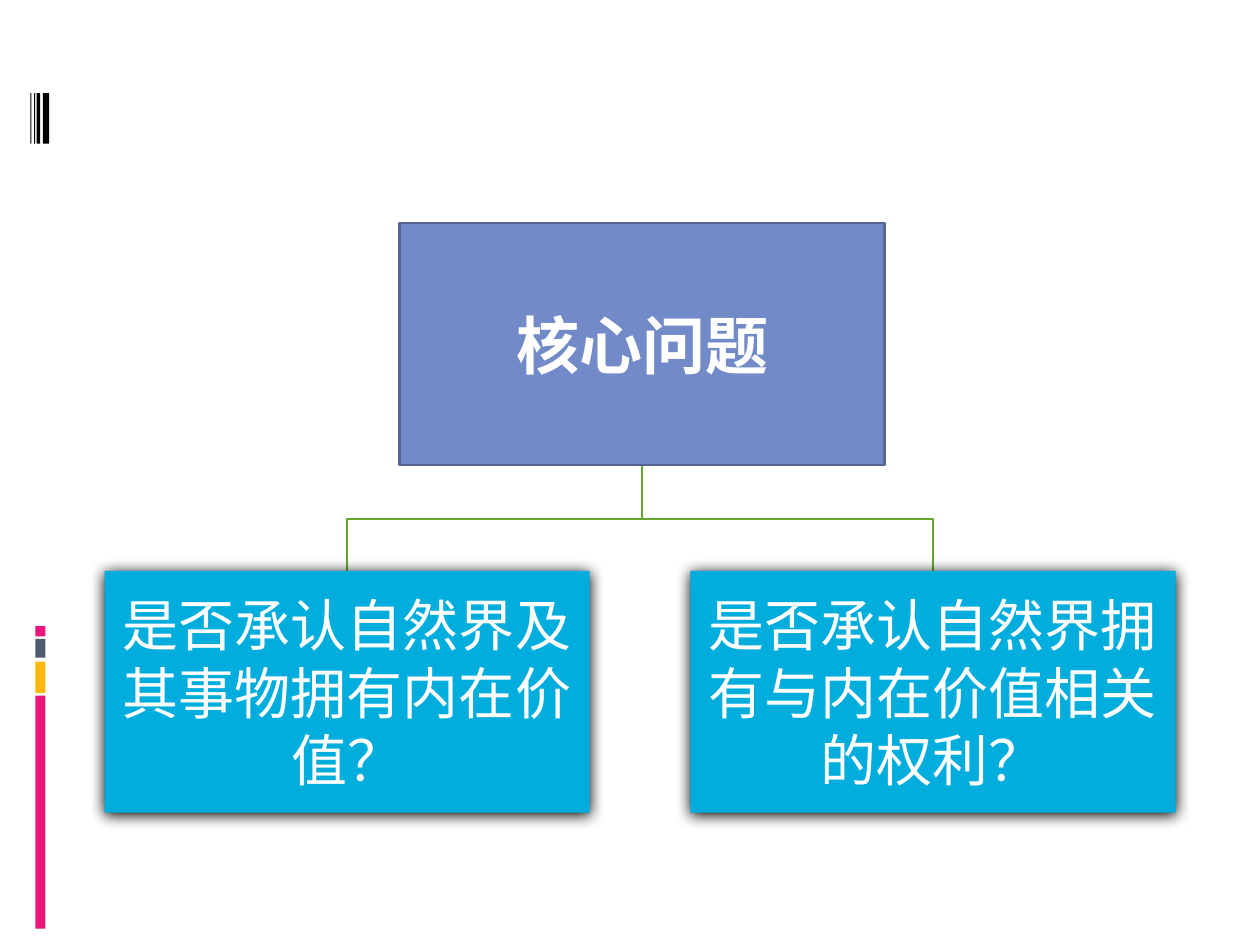
import pptx
import pptx.dml.color
import pptx.enum.shapes
import pptx.enum.text
import pptx.oxml
import pptx.oxml.ns
import pptx.util
from dataclasses import dataclass

Inches = pptx.util.Inches
Pt = pptx.util.Pt


@dataclass(frozen=True)
class Theme:
    pink: str = "EA157A"
    gold: str = "FEB80A"
    slate: str = "4E5B6F"
    black: str = "000000"
    white: str = "FFFFFF"
    green: str = "66A72F"
    blue: str = "738AC8"
    edge: str = "556694"
    cyan: str = "00ADDC"
    head: int = 36
    body: int = 32
    line: float = 1.5
    bold_font: str = "Noto Sans CJK JP"
    font: str = "Calibri"


THEME = Theme()
BOX_W, BOX_H = 3.85, 1.92


def color(code):
    return pptx.dml.color.RGBColor.from_string(code)


def add_rect(slide, x, y, w, h, fill, edge=None):
    kind = pptx.enum.shapes.MSO_SHAPE.RECTANGLE
    rect = slide.shapes.add_shape(kind, Inches(x), Inches(y), Inches(w), Inches(h))
    rect.shadow.inherit = False
    rect.fill.solid()
    rect.fill.fore_color.rgb = color(fill)
    if edge:
        rect.line.color.rgb = color(edge)
        rect.line.width = Pt(THEME.line)
    else:
        rect.line.fill.background()
    return rect


def add_glow(shape):
    """Soft dark shadow just below the shape."""
    xml = (
        f'<a:outerShdw {pptx.oxml.ns.nsdecls("a")} blurRad="{Pt(8.5)}" dist="{Pt(1)}" '
        f'dir="5400000" rotWithShape="0"><a:srgbClr val="{THEME.black}"/></a:outerShdw>'
    )
    effects = shape.element.spPr.find(pptx.oxml.ns.qn("a:effectLst"))
    effects.append(pptx.oxml.parse_xml(xml))


def put_text(shape, text, size, font, bold=False, inset=0.02):
    frame = shape.text_frame
    frame.word_wrap = True
    frame.vertical_anchor = pptx.enum.text.MSO_ANCHOR.MIDDLE
    frame.margin_left = frame.margin_right = Inches(inset)
    frame.margin_top = frame.margin_bottom = Inches(inset)
    para = frame.paragraphs[0]
    para.alignment = pptx.enum.text.PP_ALIGN.CENTER
    run = para.add_run()
    run.text = text
    run.font.size = Pt(size)
    run.font.bold = bold
    run.font.name = font
    run.font.color.rgb = color(THEME.white)
    # East Asian text takes the same font
    xml = f'<a:ea {pptx.oxml.ns.nsdecls("a")} typeface="{font}"/>'
    run.font._element.find(pptx.oxml.ns.qn("a:latin")).addnext(pptx.oxml.parse_xml(xml))


def add_branch(slide, points):
    spots = [(Inches(x), Inches(y)) for x, y in points]
    build = slide.shapes.build_freeform(*spots[0])
    build.add_line_segments(spots[1:], close=False)
    branch = build.convert_to_shape()
    branch.shadow.inherit = False
    branch.fill.background()
    branch.line.color.rgb = color(THEME.green)
    branch.line.width = Pt(THEME.line)


def add_decor(slide):
    # Coloured bars at lower left
    for y, h, fill in (
        (5.52, 1.85, THEME.pink),
        (5.25, 0.25, THEME.gold),
        (5.07, 0.15, THEME.slate),
        (4.97, 0.08, THEME.pink),
    ):
        add_rect(slide, 0.28, y, 0.08, h, fill)
    # Black stripes at upper left
    for x, w in ((0.34, 0.05), (0.29, 0.03), (0.27, 0.01), (0.24, 0.01)):
        add_rect(slide, x, 0.74, w, 0.4, THEME.black)


def add_tree(slide):
    root_x, root_y, leaf_y, bend = 3.17, 1.77, 4.53, 4.12
    leaves = (
        (0.83, "是否承认自然界及其事物拥有内在价值？"),
        (5.48, "是否承认自然界拥有与内在价值相关的权利？"),
    )
    # Branches from the root to each leaf
    mid = root_x + BOX_W / 2
    for x, _ in leaves:
        end = x + BOX_W / 2
        add_branch(slide, [(mid, root_y + BOX_H), (mid, bend), (end, bend), (end, leaf_y)])
    # Root box
    root = add_rect(slide, root_x, root_y, BOX_W, BOX_H, THEME.blue, THEME.edge)
    put_text(root, "核心问题", THEME.head, THEME.bold_font, bold=True, inset=0.03)
    # Leaf boxes
    for x, text in leaves:
        leaf = add_rect(slide, x, leaf_y, BOX_W, BOX_H, THEME.cyan)
        add_glow(leaf)
        put_text(leaf, text, THEME.body, THEME.font)


def main():
    deck = pptx.Presentation()
    deck.slide_width, deck.slide_height = Inches(10), Inches(7.5)
    slide = deck.slides.add_slide(deck.slide_layouts[6])
    add_decor(slide)
    add_tree(slide)
    deck.save("out.pptx")


if __name__ == "__main__":
    main()
